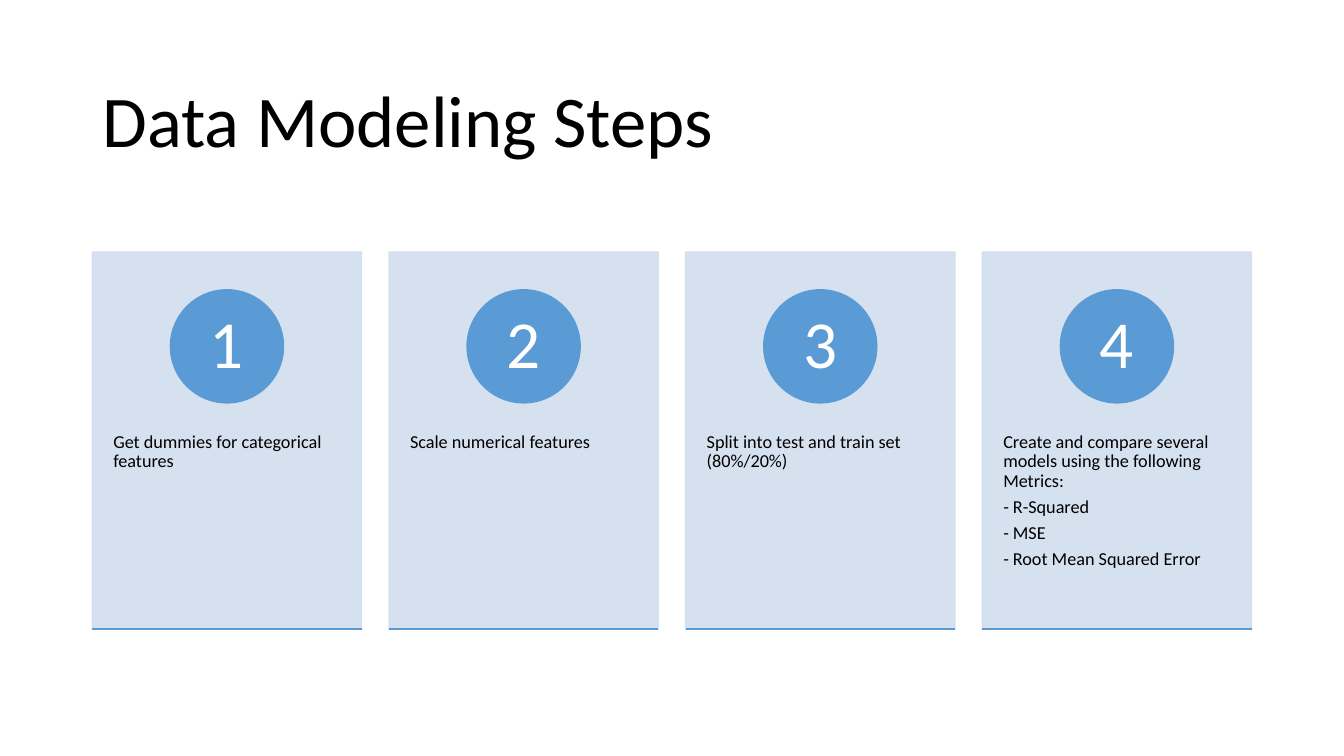
from dataclasses import dataclass

from lxml.etree import SubElement
from pptx import Presentation
from pptx.dml.color import RGBColor
from pptx.enum.shapes import MSO_CONNECTOR, MSO_SHAPE
from pptx.enum.text import MSO_ANCHOR as Anchor, MSO_AUTO_SIZE as AutoSize, PP_ALIGN as Align
from pptx.oxml.ns import qn
from pptx.shapes.autoshape import Shape
from pptx.slide import Slide
from pptx.util import Pt


@dataclass(frozen=True)
class Theme:
    font: str = "Calibri"
    black: RGBColor = RGBColor(0x00, 0x00, 0x00)
    white: RGBColor = RGBColor(0xFF, 0xFF, 0xFF)
    accent: RGBColor = RGBColor(0x5B, 0x9B, 0xD5)
    card: RGBColor = RGBColor(0xD2, 0xDE, 0xEF)
    card_opacity: int = 90
    title_size: float = 52
    number_size: float = 48
    body_size: float = 13


@dataclass(frozen=True)
class Step:
    number: int
    lines: tuple[str, ...]


THEME = Theme()
STEPS = (
    Step(1, ("Get dummies for categorical features",)),
    Step(2, ("Scale numerical features",)),
    Step(3, ("Split into test and train set (80%/20%)",)),
    Step(4, (
        "Create and compare several models using the following Metrics:",
        "- R-Squared",
        "- MSE",
        "- Root Mean Squared Error",
    )),
)

MARGIN = 66
CONTENT_WIDTH = 828
CARD_TOP = 180
CARD_WIDTH = 192.3
CARD_HEIGHT = 269.4
CARD_PITCH = (CONTENT_WIDTH - CARD_WIDTH) / (len(STEPS) - 1)
CIRCLE_TOP = 207
CIRCLE_SIZE = 80.8
BODY_TOP = 282.8
BODY_HEIGHT = 161.6


def write_text(
    box: Shape,
    *lines: str,
    size: float,
    color: RGBColor,
    align: Align = Align.LEFT,
    anchor: Anchor = Anchor.TOP,
    insets: tuple[float, float] = (7.2, 3.6),
    space_after: float = 0,
) -> None:
    frame = box.text_frame
    frame.word_wrap = True
    frame.auto_size = AutoSize.NONE
    frame.vertical_anchor = anchor
    frame.margin_left = frame.margin_right = Pt(insets[0])
    frame.margin_top = frame.margin_bottom = Pt(insets[1])
    for index, line in enumerate(lines):
        para = frame.add_paragraph() if index else frame.paragraphs[0]
        para.alignment = align
        para.line_spacing = 0.9
        para.space_before = Pt(0)
        para.space_after = Pt(space_after)
        span = para.add_run()
        span.text = line
        span.font.name = THEME.font
        span.font.size = Pt(size)
        span.font.color.rgb = color


def set_opacity(shape: Shape, percent: int) -> None:
    for color in shape.element.spPr.iter(qn("a:srgbClr")):
        SubElement(color, qn("a:alpha")).set("val", str(percent * 1000))


def add_filled(
    slide: Slide, kind: MSO_SHAPE, left: float, top: float,
    width: float, height: float, color: RGBColor,
) -> Shape:
    shape = slide.shapes.add_shape(kind, Pt(left), Pt(top), Pt(width), Pt(height))
    shape.shadow.inherit = False
    shape.fill.solid()
    shape.fill.fore_color.rgb = color
    shape.line.color.rgb = color
    shape.line.width = Pt(1)
    return shape


def add_baseline(slide: Slide, left: float) -> None:
    bottom = Pt(CARD_TOP + CARD_HEIGHT)
    baseline = slide.shapes.add_connector(
        MSO_CONNECTOR.STRAIGHT, Pt(left), bottom, Pt(left + CARD_WIDTH), bottom
    )
    baseline.line.color.rgb = THEME.accent
    baseline.line.width = Pt(1)
    SubElement(baseline.element.spPr, qn("a:effectLst"))


def add_step(slide: Slide, step: Step, left: float) -> None:
    card = add_filled(
        slide, MSO_SHAPE.RECTANGLE, left, CARD_TOP, CARD_WIDTH, CARD_HEIGHT, THEME.card
    )
    set_opacity(card, THEME.card_opacity)

    body = slide.shapes.add_textbox(Pt(left), Pt(BODY_TOP), Pt(CARD_WIDTH), Pt(BODY_HEIGHT))
    write_text(
        body, *step.lines, size=THEME.body_size, color=THEME.black,
        insets=(15, 26), space_after=4.5,
    )

    circle = add_filled(
        slide, MSO_SHAPE.OVAL, left + (CARD_WIDTH - CIRCLE_SIZE) / 2, CIRCLE_TOP,
        CIRCLE_SIZE, CIRCLE_SIZE, THEME.accent,
    )
    write_text(
        circle, str(step.number), size=THEME.number_size, color=THEME.white,
        align=Align.CENTER, anchor=Anchor.MIDDLE, insets=(0, 0),
    )
    add_baseline(slide, left)


def main() -> None:
    deck = Presentation()
    deck.slide_width, deck.slide_height = Pt(960), Pt(540)
    slide = deck.slides.add_slide(deck.slide_layouts[5])

    title = slide.shapes.title
    title.left, title.top = Pt(MARGIN), Pt(44)
    title.width, title.height = Pt(CONTENT_WIDTH), Pt(89.3)
    write_text(
        title, "Data Modeling Steps", size=THEME.title_size, color=THEME.black,
        anchor=Anchor.MIDDLE,
    )

    for index, step in enumerate(STEPS):
        add_step(slide, step, MARGIN + index * CARD_PITCH)
    deck.save("out.pptx")


if __name__ == "__main__":
    main()
